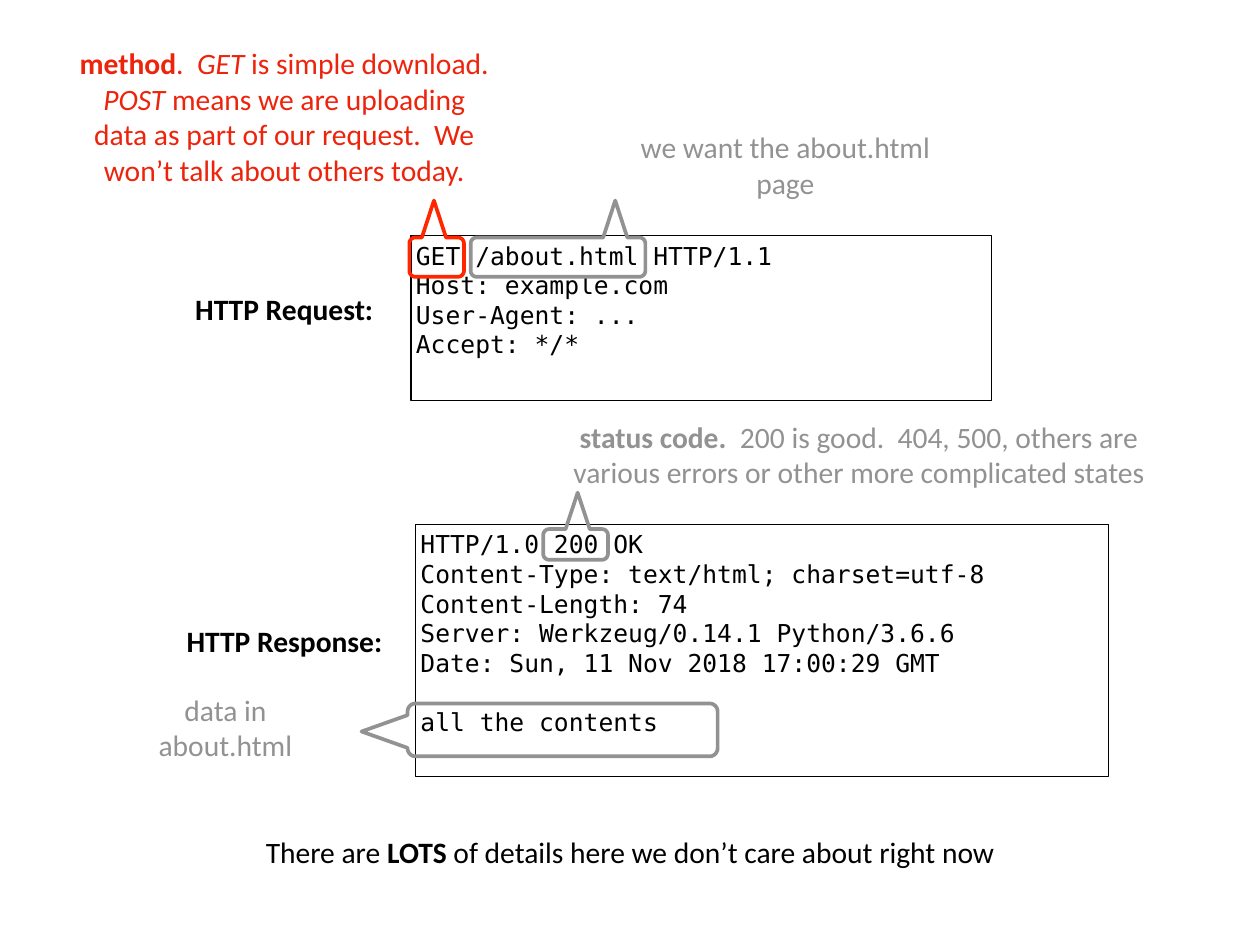
"""Builds a slide that explains an HTTP request and its response."""
import math

from pptx import Presentation
from pptx.dml.color import RGBColor
from pptx.enum.shapes import MSO_SHAPE
from pptx.enum.text import MSO_ANCHOR, MSO_AUTO_SIZE, PP_ALIGN
from pptx.util import Pt

RECTANGLE = MSO_SHAPE.RECTANGLE
TOP, MIDDLE = MSO_ANCHOR.TOP, MSO_ANCHOR.MIDDLE
FIT_SHAPE = MSO_AUTO_SIZE.SHAPE_TO_FIT_TEXT
LEFT, CENTER = PP_ALIGN.LEFT, PP_ALIGN.CENTER

COLORS = {"ink": "000000", "muted": "929292", "alert": "FF2600", "alert_text": "EE230C"}
LABEL_FONT, CODE_FONT = "Calibri", "DejaVu Sans Mono"
INSET = 4
CODE_LINE = 24


def color(name):
    """Return the named colour."""
    return RGBColor.from_string(COLORS[name])


def write(frame, lines, font=LABEL_FONT, size=24, ink="ink", align=CENTER, anchor=MIDDLE):
    """Fill a frame with lines, each a list of (text, style) spans; an empty line is a gap."""
    frame.margin_left = frame.margin_right = Pt(INSET)
    frame.margin_top = frame.margin_bottom = Pt(INSET)
    frame.vertical_anchor = anchor
    para, gap = None, 0
    for line in lines:
        if not line:
            gap += CODE_LINE
            continue
        para = frame.add_paragraph() if para else frame.paragraphs[0]
        para.alignment = align
        if gap:
            para.space_before, gap = Pt(gap), 0
        for text, style in line:
            span = para.add_run()
            span.text = text
            span.font.name, span.font.size = font, Pt(size)
            span.font.color.rgb = color(ink)
            span.font.bold, span.font.italic = style == "bold", style == "italic"


def add_label(page, left, top, width, height, lines, **style):
    """Add a centred label."""
    frame = page.shapes.add_textbox(Pt(left), Pt(top), Pt(width), Pt(height)).text_frame
    frame.word_wrap, frame.auto_size = False, FIT_SHAPE
    write(frame, lines, **style)


def add_message(page, left, top, width, height, lines):
    """Add a framed block of message text."""
    box = page.shapes.add_shape(RECTANGLE, Pt(left), Pt(top), Pt(width), Pt(height))
    box.shadow.inherit = False
    box.fill.background()
    box.line.color.rgb, box.line.width = color("ink"), Pt(1)
    box.text_frame.word_wrap = True
    write(box.text_frame, [[(line, "")] if line else [] for line in lines],
          font=CODE_FONT, size=20, align=LEFT, anchor=TOP)


def add_callout(page, left, top, width, height, tip, half=9.8, radius=4.9, ink="muted"):
    """Outline a rounded box with a tail to a tip above or to the left of it."""
    tip_x, tip_y = tip
    centers = [(radius, radius), (width - radius, radius),
               (width - radius, height - radius), (radius, height - radius)]
    corners = [[(x + radius * math.cos(math.radians(angle)),
                 y + radius * math.sin(math.radians(angle)))
                for angle in range(start, start + 91, 15)]
               for (x, y), start in zip(centers, range(180, 540, 90))]
    if tip_y < 0:
        corners.insert(1, [(tip_x - half, 0), tip, (tip_x + half, 0)])
    else:
        corners.append([(0, tip_y + half), tip, (0, tip_y - half)])
    points = [(Pt(left + x), Pt(top + y)) for corner in corners for x, y in corner]
    builder = page.shapes.build_freeform(*points[0], scale=1.0)
    builder.add_line_segments(points[1:], close=True)
    outline = builder.convert_to_shape()
    outline.shadow.inherit = False
    outline.fill.background()
    outline.line.color.rgb, outline.line.width = color(ink), Pt(3)


def add_request(page, left, top, width, height):
    """Place the request with its heading, callouts and notes."""
    add_message(page, left, top, width, height, [
        "GET /about.html HTTP/1.1", "Host: example.com", "User-Agent: ...", "Accept: */*"])
    add_label(page, left - 201.5, top + 41, 197, 36, [[("HTTP Request:", "bold")]])
    add_callout(page, left + 48.5, top + 1.5, 142, 32, (117.5, -30))
    add_label(page, left + 158.5, top - 75.5, 291.5, 36,
              [[("we want the about.html page", "")]], ink="muted")
    add_callout(page, left - 1.3, top + 1.5, 44.4, 32, (20, -30), ink="alert")
    add_label(page, left - 284.5, top - 157, 363, 120, [
        [("method", "bold"), (".  ", ""), ("GET", "italic"), (" is simple download.", "")],
        [("POST", "italic"), (" means we are uploading", "")],
        [("data as part of our request.  We", "")],
        [("won’t talk about others today.", "")]], ink="alert_text")


def add_response(page, left, top, width, height):
    """Place the response with its heading, callouts and notes."""
    add_message(page, left, top, width, height, [
        "HTTP/1.0 200 OK", "Content-Type: text/html; charset=utf-8", "Content-Length: 74",
        "Server: Werkzeug/0.14.1 Python/3.6.6", "Date: Sun, 11 Nov 2018 17:00:29 GMT",
        "", "all the contents"])
    add_label(page, left - 213, top + 76.5, 213, 36, [[("HTTP Response:", "bold")]])
    add_callout(page, left - 6.5, top + 145.5, 252, 43, (-37.4, 22.8), half=13.3, radius=6.5)
    add_label(page, left - 247, top + 147, 185, 36,
              [[("data in about.html", "")]], ink="muted")
    add_callout(page, left + 103.8, top + 3.8, 52.6, 25, (28, -29.6))
    add_label(page, left + 112.3, top - 89.2, 496, 64, [
        [("status code.", "bold"), ("  200 is good.  404, 500, others are", "")],
        [("various errors or other more complicated states", "")]], ink="muted")


def add_closing(page, left, top, width, height):
    """Place the closing remark."""
    add_label(page, left, top, width, height, [
        [("There are ", ""), ("LOTS", "bold"),
         (" of details here we don’t care about right now", "")]])


def main():
    """Build and save the deck."""
    deck = Presentation()
    deck.slide_width, deck.slide_height = Pt(1024), Pt(768)
    page = deck.slides.add_slide(deck.slide_layouts[6])
    add_response(page, 337.7, 426.2, 563, 205)
    add_request(page, 334, 191.5, 471.6, 134)
    add_closing(page, 199.5, 674, 625, 36)
    deck.save("out.pptx")


if __name__ == "__main__":
    main()
